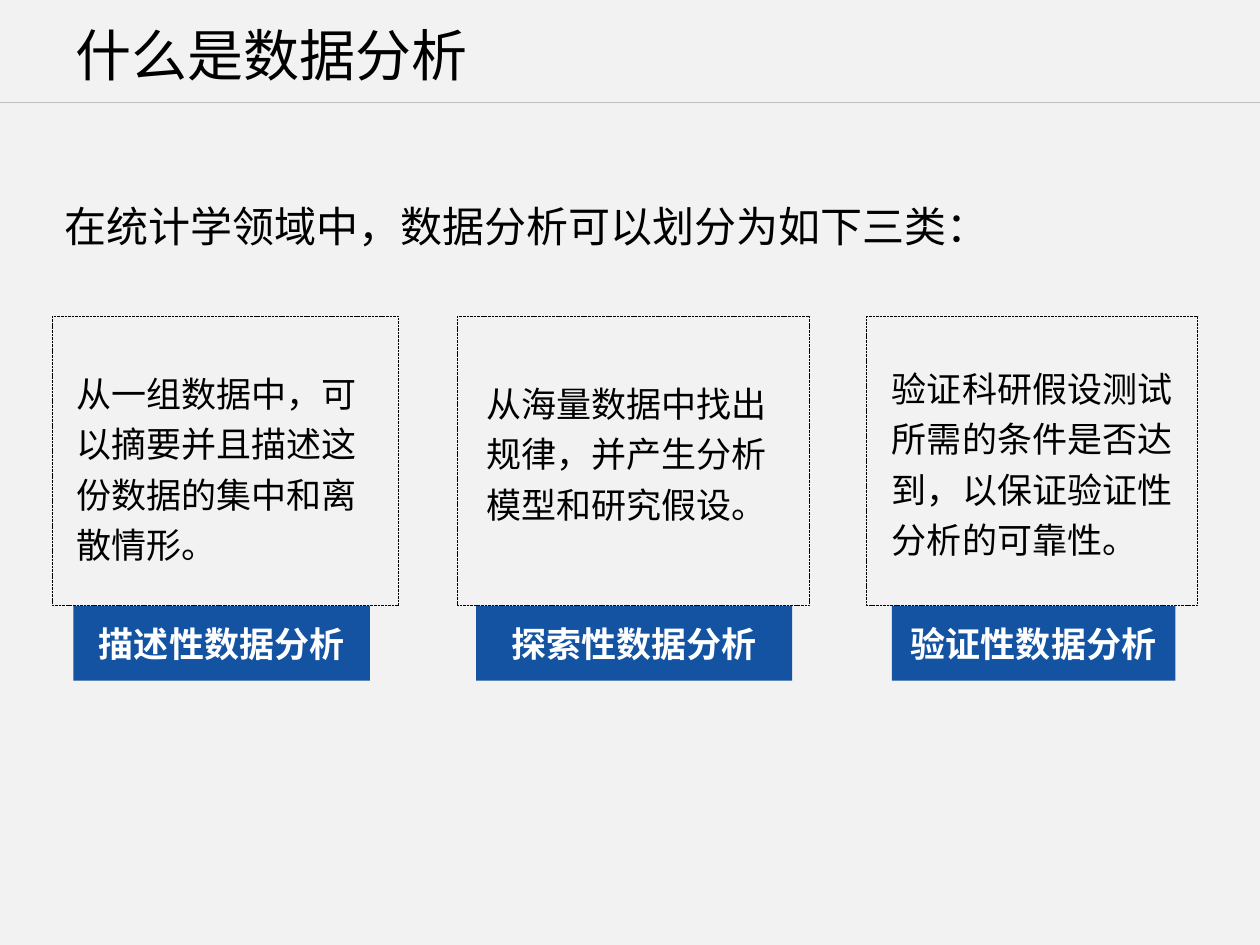
"""Build a slide on the three kinds of data analysis."""
from lxml.etree import SubElement
from pptx import Presentation
from pptx.dml.color import RGBColor
from pptx.enum.dml import MSO_LINE
from pptx.enum.shapes import MSO_CONNECTOR, MSO_SHAPE
from pptx.enum.text import MSO_ANCHOR, MSO_AUTO_SIZE, PP_ALIGN
from pptx.oxml.ns import qn
from pptx.util import Pt

FONT = "Noto Sans CJK SC"
BLACK, WHITE, BLUE, GREY, BACK = "000000", "FFFFFF", "1353A2", "BFBFBF", "F2F2F2"
WIDE, HIGH = 720, 540
RULE = 58.3
TITLE = "什么是数据分析"
INTRO = "在统计学领域中，数据分析可以划分为如下三类："
TOP, DEEP, TAB = 180.7, 165.6, 42.7
CARDS = [
    {"name": "描述性数据分析",
     "text": "从一组数据中，可以摘要并且描述这份数据的集中和离散情形。",
     "box": (30, 198), "tab": (42, 169.4), "note": (36.7, 204.5, 182.9, 123.8)},
    {"name": "探索性数据分析",
     "text": "从海量数据中找出规律，并产生分析模型和研究假设。",
     "box": (261.4, 201.4), "tab": (272, 180.7), "note": (270.7, 210.2, 182.2, 94.3)},
    {"name": "验证性数据分析",
     "text": "验证科研假设测试所需的条件是否达到，以保证验证性分析的可靠性。",
     "box": (495.4, 189), "tab": (509.6, 162), "note": (502.6, 201.6, 175.7, 123.8)},
]


def paint(item, color):
    item.rgb = RGBColor.from_string(color)


def fill(item, color):
    item.fill.solid()
    paint(item.fill.fore_color, color)


def write(shape, text, size, color=BLACK, bold=False, align=PP_ALIGN.LEFT, gap=1.0):
    frame = shape.text_frame
    frame.text = text
    frame.word_wrap = True
    para = frame.paragraphs[0]
    para.alignment, para.line_spacing = align, gap
    font = para.runs[0].font
    font.name, font.size, font.bold = FONT, Pt(size), bold
    paint(font.color, color)
    SubElement(font._element, qn("a:ea")).set("typeface", FONT)


def note(slide, text, spot, size, gap=1.0):
    box = slide.shapes.add_textbox(*map(Pt, spot))
    write(box, text, size, gap=gap)
    box.text_frame.auto_size = MSO_AUTO_SIZE.SHAPE_TO_FIT_TEXT


def rect(slide, left, top, width, height):
    shape = slide.shapes.add_shape(MSO_SHAPE.RECTANGLE, *map(Pt, (left, top, width, height)))
    shape.shadow.inherit = False
    return shape


def card(slide, data):
    left, width = data["box"]
    box = rect(slide, left, TOP, width, DEEP)
    box.fill.background()
    paint(box.line.color, BLACK)
    box.line.width, box.line.dash_style = Pt(0.5), MSO_LINE.SQUARE_DOT
    left, width = data["tab"]
    tab = rect(slide, left, TOP + DEEP, width, TAB)
    fill(tab, BLUE)
    tab.line.fill.background()
    write(tab, data["name"], 20, WHITE, True, PP_ALIGN.CENTER)
    tab.text_frame.vertical_anchor = MSO_ANCHOR.MIDDLE
    note(slide, data["text"], data["note"], 20, 1.2)


def main():
    deck = Presentation()
    deck.slide_width, deck.slide_height = Pt(WIDE), Pt(HIGH)
    slide = deck.slides.add_slide(deck.slide_layouts[5])
    fill(slide.background, BACK)

    line = slide.shapes.add_connector(MSO_CONNECTOR.STRAIGHT, 0, Pt(RULE), Pt(WIDE), Pt(RULE))
    paint(line.line.color, GREY)
    line.line.width = Pt(0.5)
    SubElement(line._element.spPr, qn("a:effectLst"))

    head = slide.shapes.title
    head.left, head.top, head.width, head.height = map(Pt, (36, 10.8, 427.7, 44.6))
    write(head, TITLE, 32, gap=0.9)
    head.text_frame.vertical_anchor = MSO_ANCHOR.MIDDLE
    head.text_frame.auto_size = MSO_AUTO_SIZE.NONE

    note(slide, INTRO, (30, 110.9, 573.8, 36), 24)
    for data in CARDS:
        card(slide, data)
    deck.save("out.pptx")


if __name__ == "__main__":
    main()
